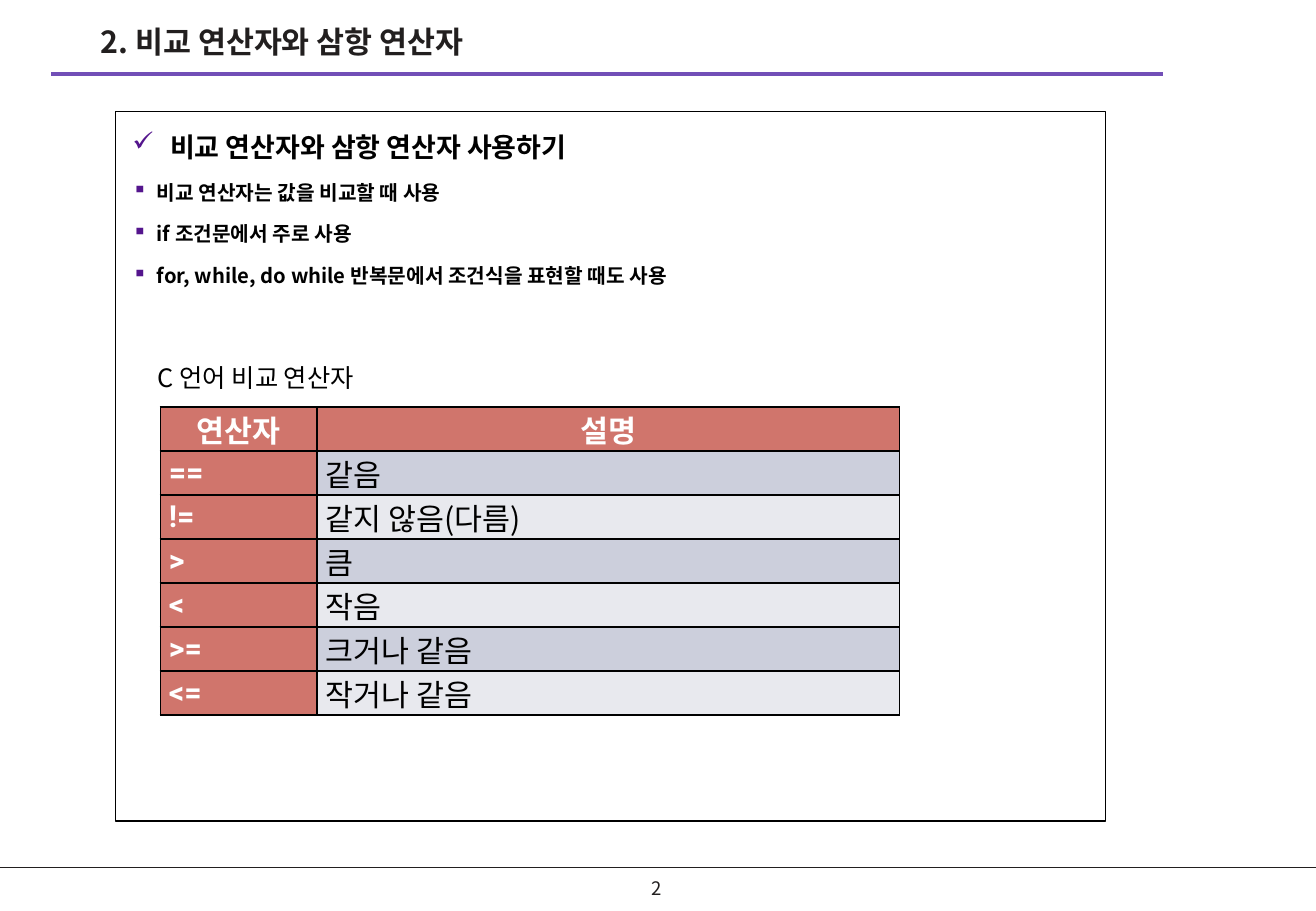
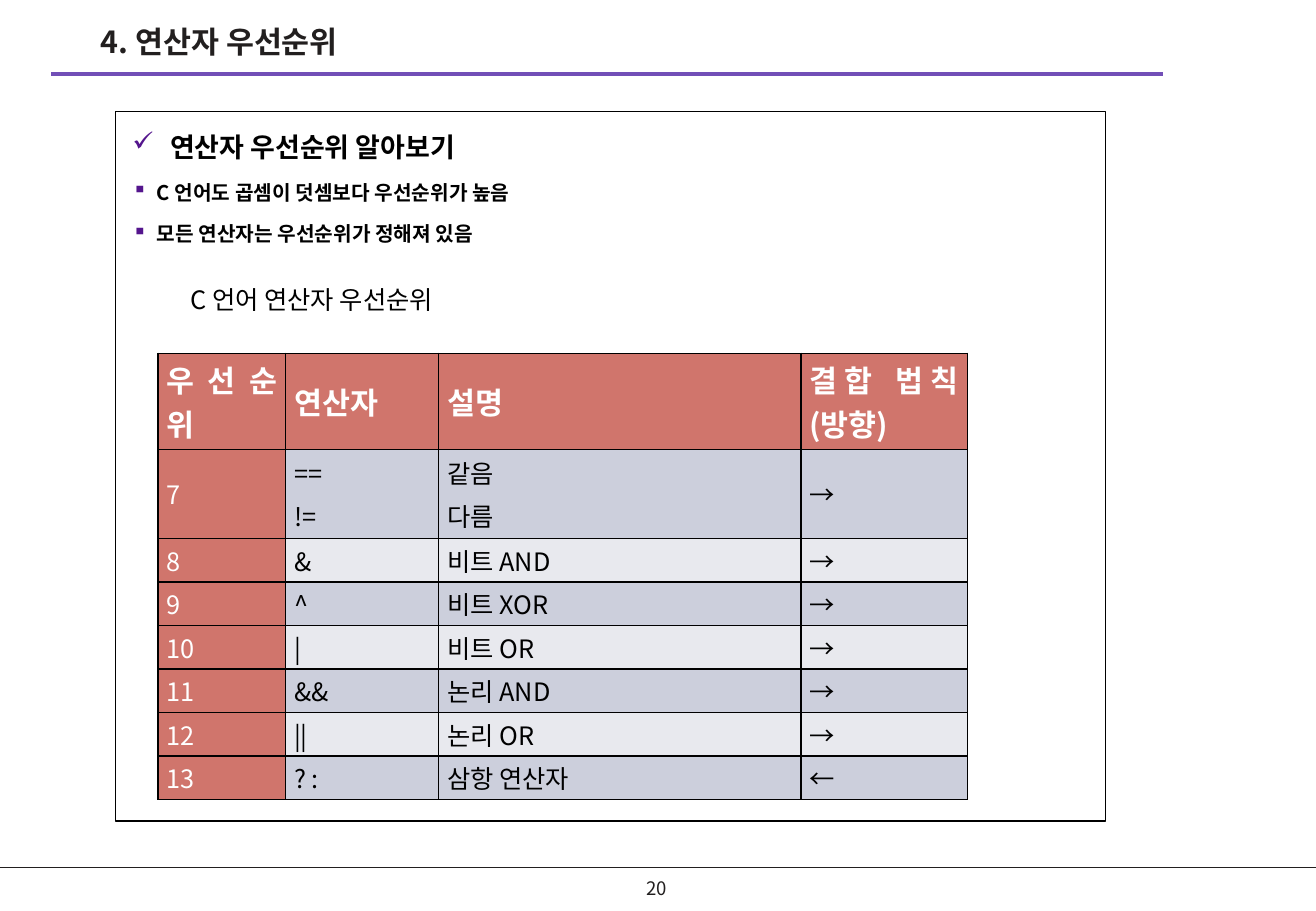
from pptx import Presentation
from pptx.dml.color import RGBColor
from pptx.enum.shapes import MSO_CONNECTOR, MSO_SHAPE
from pptx.enum.text import MSO_ANCHOR, MSO_AUTO_SIZE, PP_ALIGN
from pptx.oxml.ns import qn
from pptx.util import Cm, Pt
from lxml import etree

STRAIGHT, RECTANGLE = MSO_CONNECTOR.STRAIGHT, MSO_SHAPE.RECTANGLE
TOP, MIDDLE = MSO_ANCHOR.TOP, MSO_ANCHOR.MIDDLE
LEFT, CENTER, JUSTIFY = PP_ALIGN.LEFT, PP_ALIGN.CENTER, PP_ALIGN.JUSTIFY
NO_AUTOFIT = MSO_AUTO_SIZE.NONE

INK = RGBColor(0x22, 0x1F, 0x1F)
BLACK = RGBColor(0, 0, 0)
WHITE = RGBColor(0xFF, 0xFF, 0xFF)
PURPLE = RGBColor(0x72, 0x4F, 0xB7)
BULLET = RGBColor(0x54, 0x15, 0x8D)
CORAL = RGBColor(0xD0, 0x75, 0x6C)
BANDS = (RGBColor(0xCC, 0xCF, 0xDC), RGBColor(0xE8, 0xE9, 0xEE))
KOREAN, LATIN = "Noto Sans CJK KR", "Roboto"
TITLE_ONLY = 5


def child(parent, tag, **attributes):
    return etree.SubElement(parent, qn(tag), attributes)


class Deck:
    """Holds the lecture style and the slide being built."""

    def __init__(self):
        self.prs = Presentation()
        self.prs.slide_width, self.prs.slide_height = Cm(27.51), Cm(19.05)
        self.slide = None

    def style(self, paragraph, size, color=BLACK, bold=False, align=LEFT, font=KOREAN):
        paragraph.alignment = align
        for run in paragraph.runs:
            run.font.size, run.font.bold = Pt(size), bold
            run.font.color.rgb, run.font.name = color, font
            child(run.font._element, "a:ea", typeface=font)

    def space_before(self, paragraph, percent):
        paragraph.space_before = Pt(0)
        spacing = paragraph._p.pPr.find(qn("a:spcBef"))
        spacing.remove(spacing[0])
        child(spacing, "a:spcPct", val=str(percent * 1000))

    def bullet(self, paragraph, mark, indent):
        properties = paragraph._p.get_or_add_pPr()
        properties.set("marL", str(indent))
        properties.set("indent", str(-indent))
        child(child(properties, "a:buClr"), "a:srgbClr", val=str(BULLET))
        child(properties, "a:buChar", char=mark)

    def rule(self, left, right, y, color, width):
        line = self.slide.shapes.add_connector(STRAIGHT, Cm(left), Cm(y), Cm(right), Cm(y))
        line.line.color.rgb, line.line.width = color, Pt(width)
        child(line._element.spPr, "a:effectLst")

    def label(self, text, left, top, width, height, size, color=BLACK,
              align=LEFT, anchor=TOP):
        frame = self.slide.shapes.add_textbox(
            Cm(left), Cm(top), Cm(width), Cm(height)).text_frame
        frame.word_wrap, frame.vertical_anchor = True, anchor
        frame.text = text
        self.style(frame.paragraphs[0], size, color, align=align)

    def new_slide(self, title, number):
        self.slide = self.prs.slides.add_slide(self.prs.slide_layouts[TITLE_ONLY])
        # Footer and title rules
        self.rule(0, 27.51, 18.14, INK, 1)
        self.rule(1.07, 24.31, 1.55, PURPLE, 2.25)
        self.label(str(number), 12.95, 18.16, 1.55, 0.84, 11, INK, CENTER, MIDDLE)
        # Title
        heading = self.slide.shapes.title
        heading.left, heading.top = Cm(1.85), Cm(0.36)
        heading.width, heading.height = Cm(14.1), Cm(1.22)
        frame = heading.text_frame
        frame.auto_size, frame.vertical_anchor = NO_AUTOFIT, TOP
        frame.text = title
        self.style(frame.paragraphs[0], 18, INK, bold=True)

    def content_box(self, topic, points):
        box = self.slide.shapes.add_shape(
            RECTANGLE, Cm(2.41), Cm(2.34), Cm(20.7), Cm(14.83))
        box.shadow.inherit = False
        box.fill.background()
        box.line.color.rgb, box.line.width = BLACK, Pt(0.75)
        frame = box.text_frame
        frame.word_wrap, frame.vertical_anchor = True, TOP
        frame.margin_left = frame.margin_right = Cm(0.36)
        frame.margin_top = frame.margin_bottom = Cm(0.18)
        frame.text = "\n".join([topic, *points])
        for index, paragraph in enumerate(frame.paragraphs):
            size, mark, indent = (12, "▪", 0.51) if index else (16, "✓", 0.79)
            paragraph.line_spacing = 1.3
            self.space_before(paragraph, 50)
            self.bullet(paragraph, mark, Cm(indent))
            self.style(paragraph, size, bold=True)

    def caption(self, text, left, top):
        self.label(text, left, top, 21.08, 1.12, 15)

    def border(self, cell):
        properties = cell._tc.get_or_add_tcPr()
        for side in ("a:lnL", "a:lnR", "a:lnT", "a:lnB"):
            edge = child(properties, side, w=str(Pt(1)))
            child(child(edge, "a:solidFill"), "a:srgbClr", val=str(BLACK))

    def cell(self, cell, text, fill, **text_style):
        self.border(cell)
        cell.fill.solid()
        cell.fill.fore_color.rgb = fill
        cell.vertical_anchor = MIDDLE
        cell.margin_left = cell.margin_right = Cm(0.18)
        cell.margin_top = cell.margin_bottom = 0
        cell.text_frame.text = text
        for paragraph in cell.text_frame.paragraphs:
            self.space_before(paragraph, 20)
            paragraph.space_after = Pt(1.2)
            self.style(paragraph, **text_style)

    def table(self, rows, left, top, widths, heights, size, header_align, key_style):
        grid = self.slide.shapes.add_table(
            len(rows), len(widths), Cm(left), Cm(top),
            Cm(sum(widths)), Cm(sum(heights))).table
        for column, width in zip(grid.columns, widths):
            column.width = Cm(width)
        for r, (row, height) in enumerate(zip(rows, heights)):
            grid.rows[r].height = Cm(height)
            for c, text in enumerate(row):
                if r == 0:
                    fill, look = CORAL, dict(size=18, color=WHITE, bold=True,
                                             align=header_align)
                elif c == 0:
                    fill, look = CORAL, dict(size=size, color=WHITE, align=JUSTIFY,
                                             **key_style)
                else:
                    fill, look = BANDS[(r - 1) % 2], dict(size=size, align=JUSTIFY)
                self.cell(grid.cell(r, c), text, fill, **look)


def main():
    deck = Deck()

    # Comparison operators
    deck.new_slide("2. 비교 연산자와 삼항 연산자", 2)
    deck.content_box("비교 연산자와 삼항 연산자 사용하기", [
        "비교 연산자는 값을 비교할 때 사용",
        "if 조건문에서 주로 사용",
        "for, while, do while 반복문에서 조건식을 표현할 때도 사용",
    ])
    deck.caption("C 언어 비교 연산자", 3.05, 7.44)
    comparisons = [
        ("연산자", "설명"),
        ("==", "같음"),
        ("!=", "같지 않음(다름)"),
        (">", "큼"),
        ("<", "작음"),
        (">=", "크거나 같음"),
        ("<=", "작거나 같음"),
    ]
    deck.table(comparisons, 3.35, 8.51, [3.28, 12.17], [0.92] * len(comparisons),
               18, CENTER, dict(bold=True, font=LATIN))

    # Operator precedence
    deck.new_slide("4. 연산자 우선순위", 20)
    deck.content_box("연산자 우선순위 알아보기", [
        "C 언어도 곱셈이 덧셈보다 우선순위가 높음",
        "모든 연산자는 우선순위가 정해져 있음",
    ])
    deck.caption("C 언어 연산자 우선순위", 3.73, 5.82)
    precedence = [
        ("우선순위", "연산자", "설명", "결합 법칙(방향)"),
        ("7", "==\n!=", "같음\n다름", "→"),
        ("8", "&", "비트 AND", "→"),
        ("9", "^", "비트 XOR", "→"),
        ("10", "|", "비트 OR", "→"),
        ("11", "&&", "논리 AND", "→"),
        ("12", "||", "논리 OR", "→"),
        ("13", "? :", "삼항 연산자", "←"),
    ]
    deck.table(precedence, 3.3, 7.39, [2.67, 3.2, 7.57, 3.48],
               [2.01, 1.86] + [0.91] * 6, 15, JUSTIFY, {})

    deck.prs.save("out.pptx")


if __name__ == "__main__":
    main()
